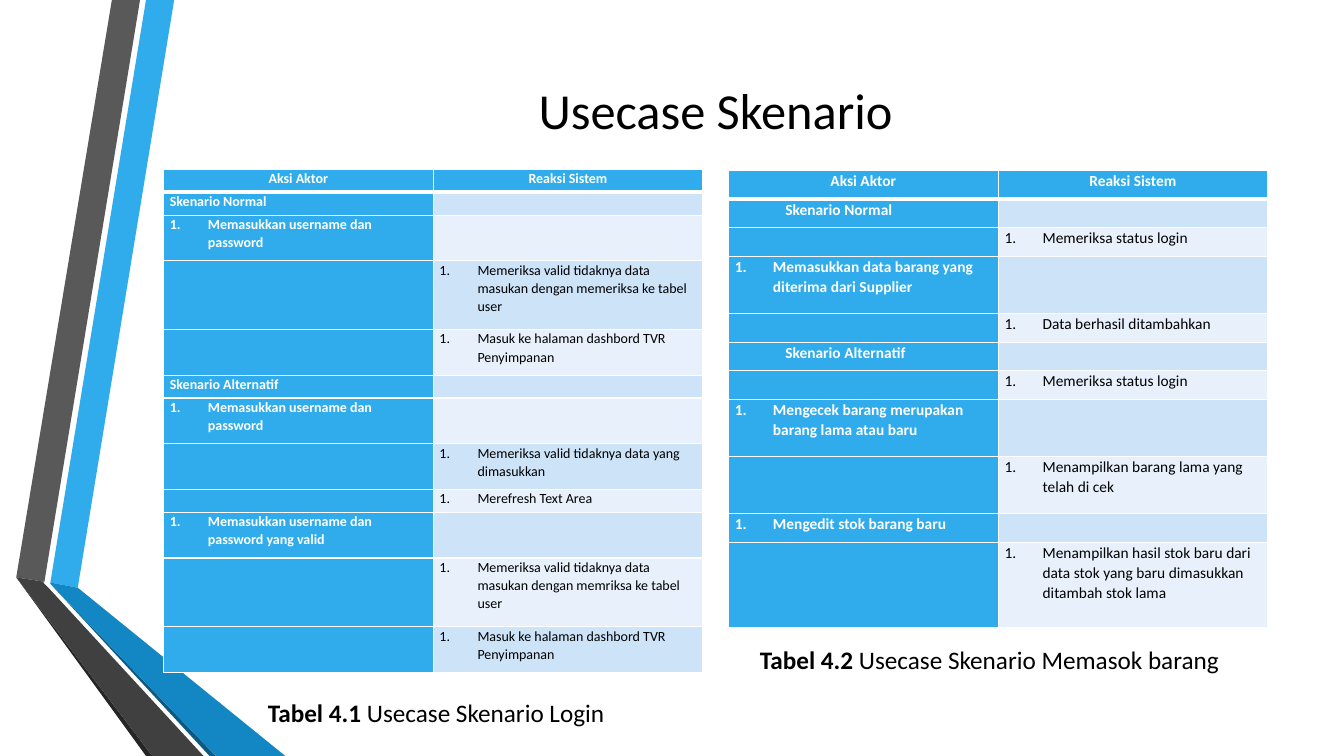
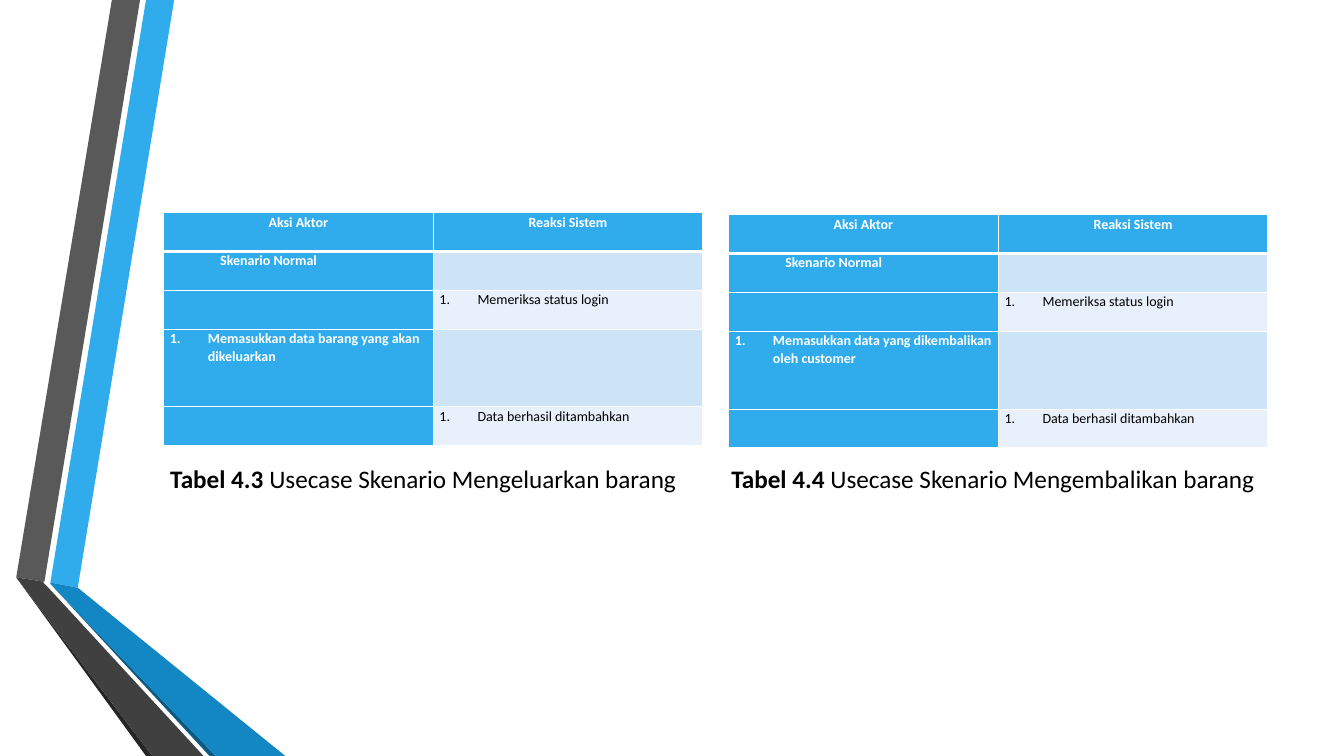
from collections import namedtuple

from lxml import etree
from pptx import Presentation
from pptx.dml.color import RGBColor
from pptx.enum.text import MSO_ANCHOR, PP_ALIGN
from pptx.oxml.ns import qn
from pptx.util import Cm, Pt

CENTER = PP_ALIGN.CENTER
LEFT = PP_ALIGN.LEFT
MIDDLE = MSO_ANCHOR.MIDDLE

FONT = "Calibri"
COLORS = {
    "white": "FFFFFF",
    "black": "000000",
    "blue": "30ACEC",
    "blue_shade": "1287C3",
    "blue_edge": "0C5A82",
    "gray": "595959",
    "gray_shade": "404040",
    "gray_edge": "262626",
    "band_dark": "CDE3F8",
    "band_light": "E8F1FB",
}
PAGE_WIDTH, PAGE_HEIGHT = 33.87, 19.05
LEFT_TABLE, RIGHT_TABLE = 4.12, 18.36
TABLE_WIDTH = 13.59
CELL_MARGIN = 0.16
NUMBER_INDENT = 0.96
SECTION_INDENT = 1.27
TITLE_ONLY, BLANK = 5, 6

Box = namedtuple("Box", "left top width height")

# Corner points in cm, from back to front
RIBBONS = [
    ("blue", [(1.27, 14.68), (1.96, 14.81), (4.39, 0), (3.68, 0)]),
    ("gray", [(3.53, 0), (2.82, 0), (0.41, 14.55), (1.12, 14.66)]),
    ("gray_edge", [(0.41, 14.55), (3.68, 19.05), (3.84, 19.05)]),
    ("blue_edge", [(1.27, 14.71), (5.28, 19.05), (5.44, 19.05)]),
    ("blue_shade", [(1.27, 14.71), (5.44, 19.05), (7.19, 19.05),
                    (1.96, 14.81), (1.27, 14.68)]),
    ("gray_shade", [(5.13, 19.05), (1.22, 14.81), (1.09, 14.68),
                    (1.12, 14.66), (0.41, 14.55), (3.84, 19.05)]),
]

# Each row: kind of entry, text, height in lines
DASHBOARD_ROW = ("system", "Masuk ke halaman dashbord TVR Penyimpanan", 2)
LOGIN_ROWS = [
    ("section", "Skenario Normal", 1),
    ("actor", "Memasukkan username dan password", 2),
    ("system", "Memeriksa valid tidaknya data masukan dengan memeriksa "
               "ke tabel user", 3),
    DASHBOARD_ROW,
    ("section", "Skenario Alternatif", 1),
    ("actor", "Memasukkan username dan password", 2),
    ("system", "Memeriksa valid tidaknya data yang dimasukkan", 2),
    ("system", "Merefresh Text Area", 1),
    ("actor", "Memasukkan username dan password yang valid", 2),
    ("system", "Memeriksa valid tidaknya data masukan dengan memriksa "
               "ke tabel user", 3),
    DASHBOARD_ROW,
]


def normal_rows(actor_text):
    """Rows of a normal scenario with one action by the actor."""
    return [
        ("section", "Skenario Normal", 1),
        ("system", "Memeriksa status login", 1),
        ("actor", actor_text, 2),
        ("system", "Data berhasil ditambahkan", 1),
    ]


SUPPLY_ROWS = normal_rows("Memasukkan data barang yang diterima dari Supplier") + [
    ("section", "Skenario Alternatif", 1),
    ("system", "Memeriksa status login", 1),
    ("actor", "Mengecek barang merupakan barang lama atau baru", 2),
    ("system", "Menampilkan barang lama yang telah di cek", 2),
    ("actor", "Mengedit stok barang baru", 1),
    ("system", "Menampilkan hasil stok baru dari data stok yang baru "
               "dimasukkan ditambah stok lama", 3),
]
ISSUE_ROWS = normal_rows("Memasukkan data barang yang akan dikeluarkan")
RETURN_ROWS = normal_rows("Memasukkan data yang dikembalikan oleh customer")


def color(name):
    return RGBColor.from_string(COLORS[name])


def write_text(para, text, size=10, ink="black", bold=False, align=LEFT, spacing=None):
    para.alignment = align
    para.line_spacing = spacing
    span = para.add_run()
    span.text = text
    span.font.name = FONT
    span.font.size = Pt(size)
    span.font.bold = bold
    span.font.color.rgb = color(ink)


def indent(para, left, numbered):
    props = para._p.get_or_add_pPr()
    props.set("marL", str(Cm(left)))
    props.set("indent", str(-Cm(left) if numbered else 0))
    if numbered:
        etree.SubElement(props, qn("a:buAutoNum"), type="arabicPeriod")


def draw_ribbons(slide, master, box):
    """Build the folded ribbons and place them on the master, behind all else."""
    tree = master.shapes.element
    for index, (fill, points) in enumerate(RIBBONS):
        corners = [(Cm(box.left + x), Cm(box.top + y)) for x, y in points]
        builder = slide.shapes.build_freeform(*corners[0])
        builder.add_line_segments(corners[1:], close=True)
        ribbon = builder.convert_to_shape()
        ribbon.fill.solid()
        ribbon.fill.fore_color.rgb = color(fill)
        ribbon.line.fill.background()
        ribbon.shadow.inherit = False
        ribbon.element.nvSpPr.cNvPr.set("id", str(100 + index))
        tree.insert(2 + index, ribbon.element)


def add_title(slide, text, box):
    title = slide.shapes.title
    title.left, title.top, title.width, title.height = map(Cm, box)
    title.text_frame.vertical_anchor = MIDDLE
    write_text(title.text_frame.paragraphs[0], text, size=36, align=CENTER)


def add_caption(slide, label, text, box):
    frame = slide.shapes.add_textbox(*map(Cm, box)).text_frame
    frame.word_wrap = False
    para = frame.paragraphs[0]
    write_text(para, label + " ", size=18, bold=True)
    write_text(para, text, size=18)


def style_cell(cell, fill, row, size):
    """Set margins, white borders and fill; the header's lower border is thick."""
    cell.margin_left = cell.margin_right = Cm(CELL_MARGIN)
    cell.margin_top = cell.margin_bottom = 0
    props = cell._tc.get_or_add_tcPr()
    thick = {0: "lnB", 1: "lnT"}.get(row)
    for side in ("lnL", "lnR", "lnT", "lnB"):
        width = Pt(3 if side == thick else 1)
        line = etree.SubElement(props, qn("a:" + side), w=str(width))
        paint = etree.SubElement(line, qn("a:solidFill"))
        etree.SubElement(paint, qn("a:srgbClr"), val=COLORS["white"])
    cell.fill.solid()
    cell.fill.fore_color.rgb = color(fill)
    # Keeps empty cells from stretching their row
    etree.SubElement(cell.text_frame.paragraphs[0]._p, qn("a:endParaRPr"),
                     sz=str(size * 100))


def add_scenario_table(slide, rows, box, size=10, section_indent=SECTION_INDENT):
    """Share the box height among the header and rows by their line counts."""
    lines = [1] + [count for _, _, count in rows]
    table = slide.shapes.add_table(len(lines), 2, *map(Cm, box)).table
    table.first_row = table.horz_banding = False
    for column in table.columns:
        column.width = Cm(box.width / 2)
    for row, count in enumerate(lines):
        table.rows[row].height = Cm(box.height * count / sum(lines))
        band = "band_dark" if row % 2 else "band_light"
        style_cell(table.cell(row, 0), "blue", row, size)
        style_cell(table.cell(row, 1), band if row else "blue", row, size)
    for column, heading in enumerate(("Aksi Aktor", "Reaksi Sistem")):
        write_text(table.cell(0, column).text_frame.paragraphs[0], heading, size=size,
                   ink="white", bold=True, align=CENTER, spacing=1.07)
    for row, (kind, text, _) in enumerate(rows, start=1):
        by_system = kind == "system"
        para = table.cell(row, int(by_system)).text_frame.paragraphs[0]
        write_text(para, text, size=size, ink="black" if by_system else "white",
                   bold=not by_system, spacing=1.07)
        if kind == "section":
            indent(para, section_indent, numbered=False)
        else:
            indent(para, NUMBER_INDENT, numbered=True)


def build_login_and_supply(slide):
    add_title(slide, "Usecase Skenario", Box(4.12, 1.9, 27.83, 1.7))
    add_scenario_table(slide, LOGIN_ROWS, Box(LEFT_TABLE, 4.27, TABLE_WIDTH, 12.68),
                       section_indent=0)
    add_scenario_table(slide, SUPPLY_ROWS, Box(RIGHT_TABLE, 4.3, TABLE_WIDTH, 11.53),
                       size=11)
    add_caption(slide, "Tabel 4.2", "Usecase Skenario Memasok barang",
                Box(18.9, 16.1, 12.45, 1.02))
    add_caption(slide, "Tabel 4.1", "Usecase Skenario Login",
                Box(6.5, 17.45, 9.35, 1.02))


def build_issue_and_return(slide):
    add_scenario_table(slide, ISSUE_ROWS, Box(LEFT_TABLE, 5.36, TABLE_WIDTH, 5.87))
    add_scenario_table(slide, RETURN_ROWS, Box(RIGHT_TABLE, 5.41, TABLE_WIDTH, 5.88))
    add_caption(slide, "Tabel 4.3", "Usecase Skenario Mengeluarkan barang",
                Box(4.04, 11.56, 13.67, 1.02))
    add_caption(slide, "Tabel 4.4", "Usecase Skenario Mengembalikan barang",
                Box(18.18, 11.56, 14.15, 1.02))


def main():
    deck = Presentation()
    deck.slide_width, deck.slide_height = Cm(PAGE_WIDTH), Cm(PAGE_HEIGHT)
    first = deck.slides.add_slide(deck.slide_layouts[TITLE_ONLY])
    draw_ribbons(first, deck.slide_master, Box(0, 0, PAGE_WIDTH, PAGE_HEIGHT))
    build_login_and_supply(first)
    build_issue_and_return(deck.slides.add_slide(deck.slide_layouts[BLANK]))
    deck.save("out.pptx")


if __name__ == "__main__":
    main()
